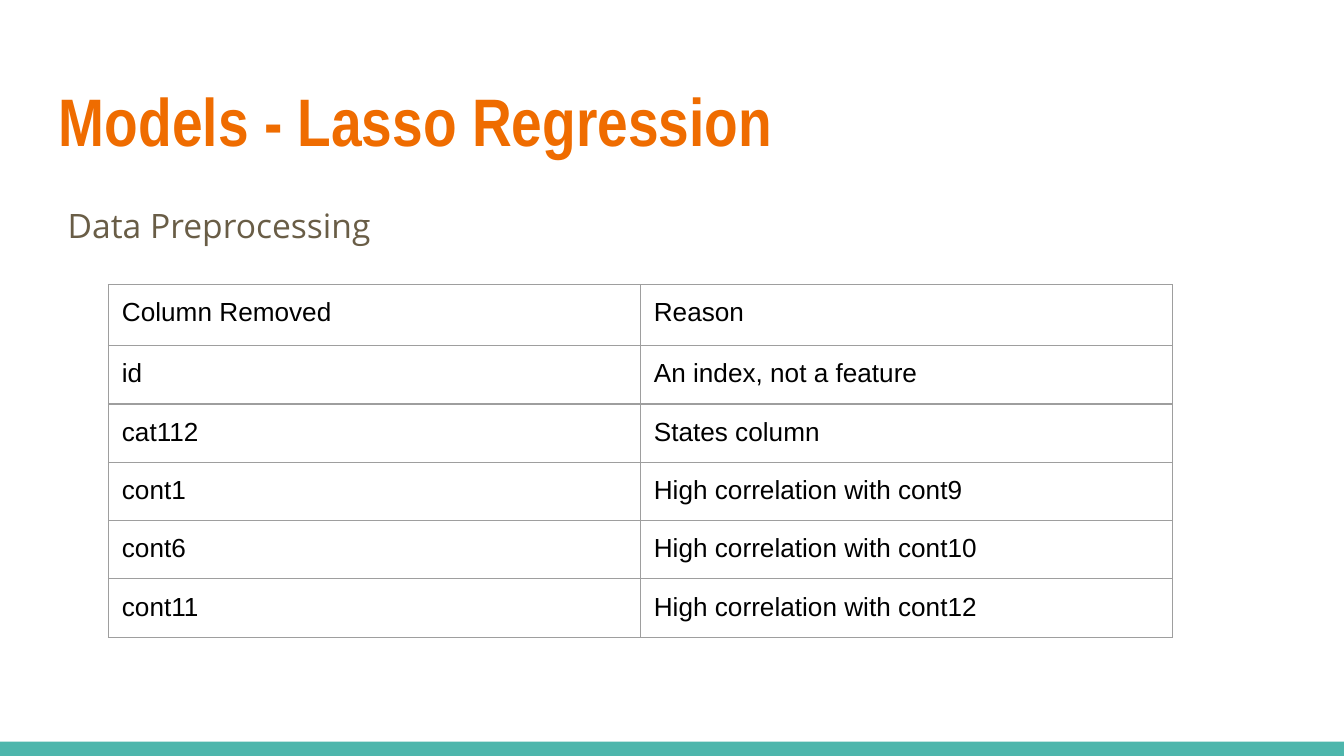
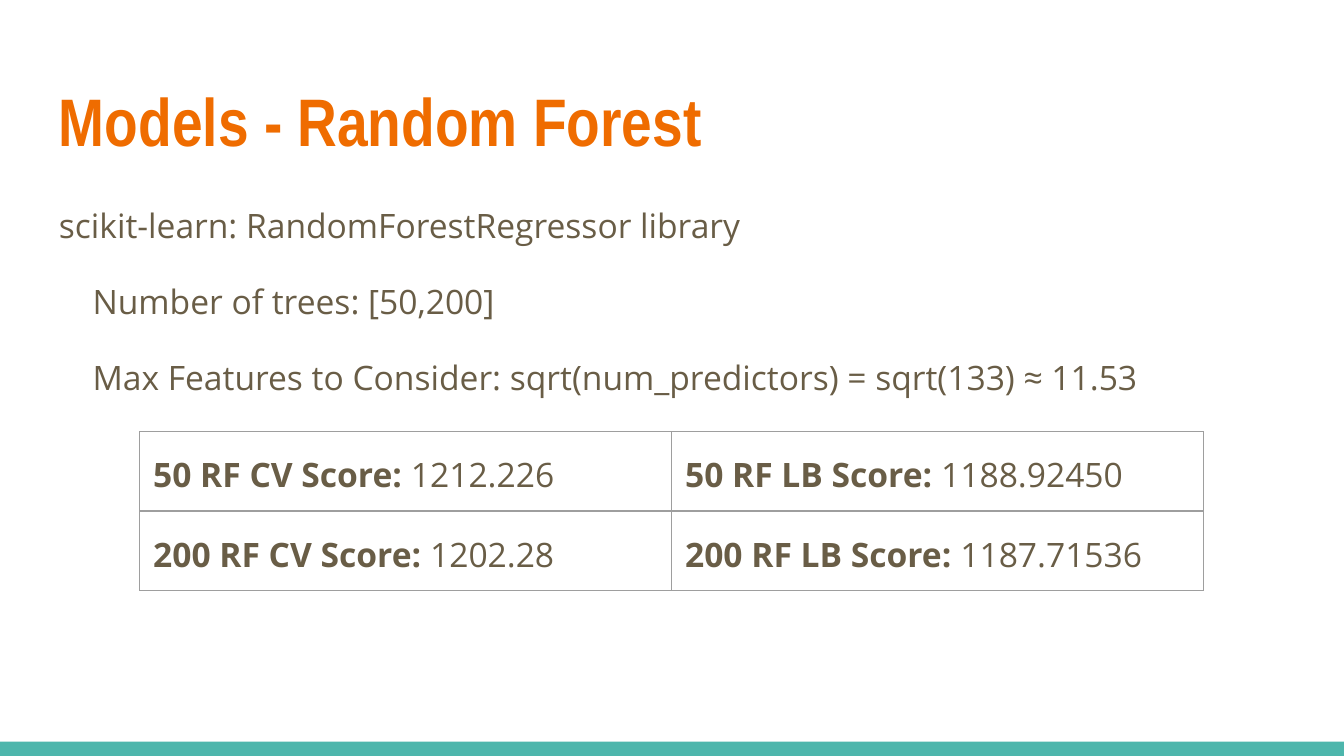
from dataclasses import dataclass
from typing import NamedTuple

from lxml.etree import SubElement
from pptx import Presentation
from pptx.dml.color import RGBColor as Color
from pptx.enum.shapes import MSO_SHAPE as Preset
from pptx.oxml.ns import qn
from pptx.util import Emu, Inches, Pt

SLIDE_WIDTH, SLIDE_HEIGHT = Inches(10), Inches(5.625)


@dataclass(frozen=True)
class TextStyle:
    font: str
    size: int
    color: str
    bold: bool = False
    line_spacing: float = 1.0
    space_after: int = 0


@dataclass(frozen=True)
class Theme:
    band: str = "4DB6AC"
    background: str = "FFFFFF"
    border: str = "9E9E9E"
    border_width: float = 0.75
    inset: float = 0.1
    title: TextStyle = TextStyle("Arial Narrow", 36, "EF6C00", bold=True)
    body: TextStyle = TextStyle("Open Sans", 18, "695D46", line_spacing=1.15, space_after=16)
    plain_cell: TextStyle = TextStyle("Arial", 14, "000000")
    score_cell: TextStyle = TextStyle("Open Sans", 18, "695D46", line_spacing=1.15)


class Area(NamedTuple):
    """Position and size in percent of the slide's width and height."""
    left: float
    top: float
    width: float
    height: float

    def lengths(self) -> tuple:
        return across(self.left), down(self.top), across(self.width), down(self.height)


class Line(NamedTuple):
    """Body line; margin and first-line indent in percent of the slide's width."""
    text: str
    margin: float = 0
    indent: float = 0


class Entry(NamedTuple):
    """Table cell text with an optional bold label in front."""
    text: str
    label: str = ""


@dataclass(frozen=True)
class Grid:
    """Table whose left, top and row heights are percentages of the slide."""
    left: float
    top: float
    row_heights: list[float]
    style: TextStyle
    rows: list[list[Entry]]
    column_width: float = 39.58


@dataclass(frozen=True)
class Page:
    title: str
    body_height: float
    lines: list[Line]
    grid: Grid


THEME = Theme()
BAND = Area(0, 98.1, 100, 1.9)
TITLE = Area(3.4, 8.65, 93.2, 13.7)
BODY_TOP = 24.5

REMOVED_COLUMNS = [
    ("Column Removed", "Reason"),
    ("id", "An index, not a feature"),
    ("cat112", "States column"),
    ("cont1", "High correlation with cont9"),
    ("cont6", "High correlation with cont10"),
    ("cont11", "High correlation with cont12"),
]
FOREST_SCORES = [
    (50, "1212.226", "1188.92450"),
    (200, "1202.28", "1187.71536"),
]

PAGES = [
    Page(
        "Models - Lasso Regression",
        64.2,
        [Line("Data Preprocessing", margin=0.65)],
        Grid(
            8.07, 37.65, [8.07] + [7.41] * 5, THEME.plain_cell,
            [[Entry(text) for text in row] for row in REMOVED_COLUMNS],
        ),
    ),
    Page(
        "Models - Random Forest",
        71.7,
        [
            Line("scikit-learn: RandomForestRegressor library"),
            Line("Number of trees: [50,200]", 5, -2.5),
            Line("Max Features to Consider: sqrt(num_predictors) = sqrt(133) ≈ 11.53", 5, -2.5),
        ],
        Grid(
            10.4, 57.1, [10.5] * 2, THEME.score_cell,
            [
                [Entry(cv, f"{trees} RF CV Score: "), Entry(lb, f"{trees} RF LB Score: ")]
                for trees, cv, lb in FOREST_SCORES
            ],
        ),
    ),
]


def across(percent: float) -> Emu:
    return Emu(round(SLIDE_WIDTH * percent / 100))


def down(percent: float) -> Emu:
    return Emu(round(SLIDE_HEIGHT * percent / 100))


def format_para(para, style: TextStyle) -> None:
    para.line_spacing = style.line_spacing
    para.space_after = Pt(style.space_after)
    for span in para.runs:
        span.font.name = style.font
        span.font.size = Pt(style.size)
        span.font.bold = style.bold
        span.font.color.rgb = Color.from_string(style.color)


def set_insets(holder) -> None:
    """Give a text frame or a table cell the theme's inner margins."""
    inset = Inches(THEME.inset)
    holder.margin_left = holder.margin_right = inset
    holder.margin_top = holder.margin_bottom = inset


def add_band(slide) -> None:
    band = slide.shapes.add_shape(Preset.RECTANGLE, *BAND.lengths())
    band.shadow.inherit = False
    band.fill.solid()
    band.fill.fore_color.rgb = Color.from_string(THEME.band)
    band.line.fill.background()


def add_text(slide, area: Area, lines: list[Line], style: TextStyle) -> None:
    box = slide.shapes.add_textbox(*area.lengths())
    frame = box.text_frame
    frame.word_wrap = True
    set_insets(frame)
    frame.text = "\n".join(line.text for line in lines)
    for para, line in zip(frame.paragraphs, lines):
        properties = para._p.get_or_add_pPr()
        properties.set("marL", str(across(line.margin)))
        properties.set("indent", str(across(line.indent)))
        format_para(para, style)


def add_borders(cell) -> None:
    properties = cell._tc.get_or_add_tcPr()
    for side in ("a:lnL", "a:lnR", "a:lnT", "a:lnB"):
        edge = SubElement(properties, qn(side), w=str(Pt(THEME.border_width)))
        fill = SubElement(edge, qn("a:solidFill"))
        SubElement(fill, qn("a:srgbClr"), val=THEME.border)


def fill_cell(cell, entry: Entry, style: TextStyle) -> None:
    set_insets(cell)
    add_borders(cell)
    cell.fill.background()
    para = cell.text_frame.paragraphs[0]
    para.text = entry.label or entry.text
    if entry.label:
        para.add_run().text = entry.text
    format_para(para, style)
    if entry.label:
        para.runs[0].font.bold = True


def add_grid(slide, grid: Grid) -> None:
    column_count = len(grid.rows[0])
    area = Area(grid.left, grid.top, grid.column_width * column_count, sum(grid.row_heights))
    table = slide.shapes.add_table(len(grid.rows), column_count, *area.lengths()).table
    table.first_row = table.horz_banding = False
    for column in table.columns:
        column.width = across(grid.column_width)
    for row, height, entries in zip(table.rows, grid.row_heights, grid.rows):
        row.height = down(height)
        for cell, entry in zip(row.cells, entries):
            fill_cell(cell, entry, grid.style)


def add_page(deck, page: Page) -> None:
    slide = deck.slides.add_slide(deck.slide_layouts[6])
    slide.background.fill.solid()
    slide.background.fill.fore_color.rgb = Color.from_string(THEME.background)
    add_band(slide)
    add_text(slide, TITLE, [Line(page.title)], THEME.title)
    body = TITLE._replace(top=BODY_TOP, height=page.body_height)
    add_text(slide, body, page.lines, THEME.body)
    add_grid(slide, page.grid)


def main() -> None:
    deck = Presentation()
    deck.slide_width, deck.slide_height = SLIDE_WIDTH, SLIDE_HEIGHT
    for page in PAGES:
        add_page(deck, page)
    deck.save("out.pptx")


if __name__ == "__main__":
    main()
